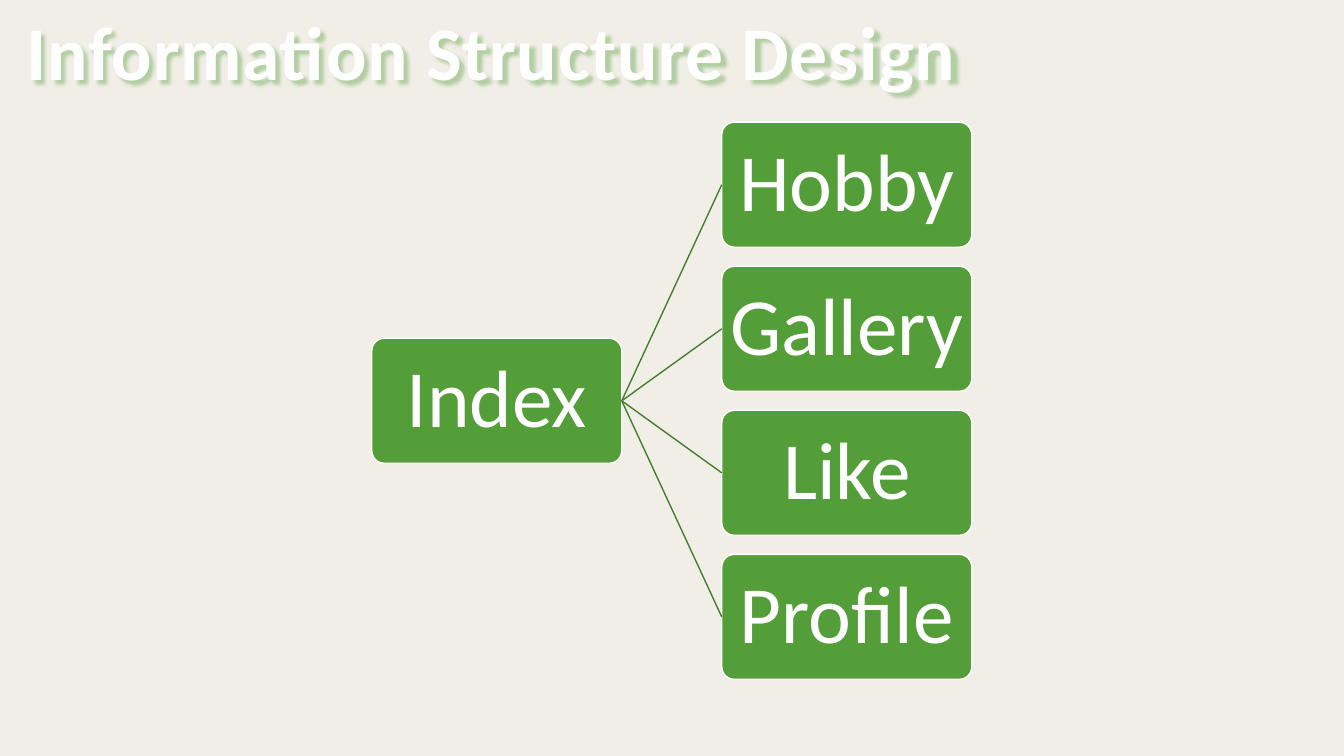
from lxml import etree
from pptx import Presentation
from pptx.dml.color import RGBColor
from pptx.enum.shapes import MSO_CONNECTOR, MSO_SHAPE
from pptx.enum.text import MSO_ANCHOR, MSO_AUTO_SIZE, PP_ALIGN
from pptx.oxml.ns import qn
from pptx.util import Cm, Pt

ROUNDED = MSO_SHAPE.ROUNDED_RECTANGLE
STRAIGHT = MSO_CONNECTOR.STRAIGHT
CENTER = PP_ALIGN.CENTER
MIDDLE, TOP = MSO_ANCHOR.MIDDLE, MSO_ANCHOR.TOP
FIT_SHAPE = MSO_AUTO_SIZE.SHAPE_TO_FIT_TEXT
TITLE_ONLY = 5
LEFT_SITE, RIGHT_SITE = 1, 3

COLORS = {
    "background": "F1EEE8",
    "box": "549E39",
    "border": "FFFFFF",
    "branch": "437F2E",
    "title": "FEFEFE",
}

# Lengths in centimetres
BOX_W, BOX_H = 6.3, 3.15
BOX_MARGIN = 0.08
INDEX_LEFT = 9.37
TOPICS_LEFT = INDEX_LEFT + 1.4 * BOX_W
TOPICS_TOP, TOPIC_STEP = 3.08, 3.63
TOPICS = ["Hobby", "Gallery", "Like", "Profile"]


def rgb(name):
    """Return the named colour of the palette."""
    return RGBColor.from_string(COLORS[name])


def write_text(frame, text, size, color, bold=False, spacing=1.0,
               anchor=MIDDLE, wrap=True):
    """Put one centred line into a text frame and return its run."""
    frame.word_wrap = wrap
    frame.vertical_anchor = anchor
    paragraph = frame.paragraphs[0]
    paragraph.alignment = CENTER
    paragraph.line_spacing = spacing
    run = paragraph.add_run()
    run.text = text
    run.font.name = "Calibri"
    run.font.size = Pt(size)
    run.font.bold = bold
    run.font.color.rgb = rgb(color)
    return run


def add_color(parent, name, alpha=None):
    """Append a palette colour, optionally transparent, to an XML element."""
    color = etree.SubElement(parent, qn("a:srgbClr"), val=COLORS[name])
    if alpha is not None:
        etree.SubElement(color, qn("a:alpha"), val=str(alpha * 1000))


class StructureSlide:
    """Holds the box style and the slide being drawn."""

    def __init__(self, slide, text_size=58, line_width=1):
        """Start on a slide and paint its background."""
        self.slide = slide
        self.text_size = text_size
        self.line_width = Pt(line_width)
        slide.background.fill.solid()
        slide.background.fill.fore_color.rgb = rgb("background")

    def heading(self, text):
        """Fill the title with outlined, softly shadowed lettering."""
        title = self.slide.shapes.title
        title.left, title.top = Cm(0.3), Cm(0)
        title.width, title.height = Cm(24.2), Cm(2.57)
        run = write_text(title.text_frame, text, 54, "title", bold=True,
                         anchor=TOP, wrap=False)
        title.text_frame.auto_size = FIT_SHAPE

        lettering = run.font._element
        lettering.set("spc", "50")
        outline = etree.Element(qn("a:ln"), w=str(Pt(0.75)))
        add_color(etree.SubElement(outline, qn("a:solidFill")), "box")
        lettering.insert(0, outline)

        effects = etree.SubElement(title._element.spPr, qn("a:effectLst"))
        shadow = etree.SubElement(effects, qn("a:outerShdw"),
                                  blurRad=str(Pt(1)), dist=str(Pt(3)),
                                  dir="2700000", algn="tl", rotWithShape="0")
        add_color(shadow, "box", alpha=40)

    def box(self, text, left, top):
        """Add one labelled rounded box."""
        box = self.slide.shapes.add_shape(ROUNDED, Cm(left), Cm(top),
                                          Cm(BOX_W), Cm(BOX_H))
        box.adjustments[0] = 0.1
        box.shadow.inherit = False
        box.fill.solid()
        box.fill.fore_color.rgb = rgb("box")
        box.line.color.rgb = rgb("border")
        box.line.width = self.line_width
        frame = box.text_frame
        frame.margin_left = frame.margin_right = Cm(BOX_MARGIN)
        frame.margin_top = frame.margin_bottom = Cm(BOX_MARGIN)
        write_text(frame, text, self.text_size, "border", spacing=0.9)
        return box

    def branch(self, parent, child):
        """Join a parent's right side to a child's left side."""
        branch = self.slide.shapes.add_connector(STRAIGHT, 0, 0, 0, 0)
        branch.begin_connect(parent, RIGHT_SITE)
        branch.end_connect(child, LEFT_SITE)
        branch.line.color.rgb = rgb("branch")
        branch.line.width = self.line_width
        etree.SubElement(branch._element.spPr, qn("a:effectLst"))


def main():
    """Build the site structure slide."""
    deck = Presentation()
    deck.slide_width, deck.slide_height = Cm(33.87), Cm(19.05)
    layout = deck.slide_layouts[TITLE_ONLY]
    page = StructureSlide(deck.slides.add_slide(layout))

    page.heading("Information Structure Design")
    index_top = TOPICS_TOP + TOPIC_STEP * (len(TOPICS) - 1) / 2
    index = page.box("Index", INDEX_LEFT, index_top)
    for row, topic in enumerate(TOPICS):
        topic_box = page.box(topic, TOPICS_LEFT, TOPICS_TOP + row * TOPIC_STEP)
        page.branch(index, topic_box)

    deck.save("out.pptx")


main()
